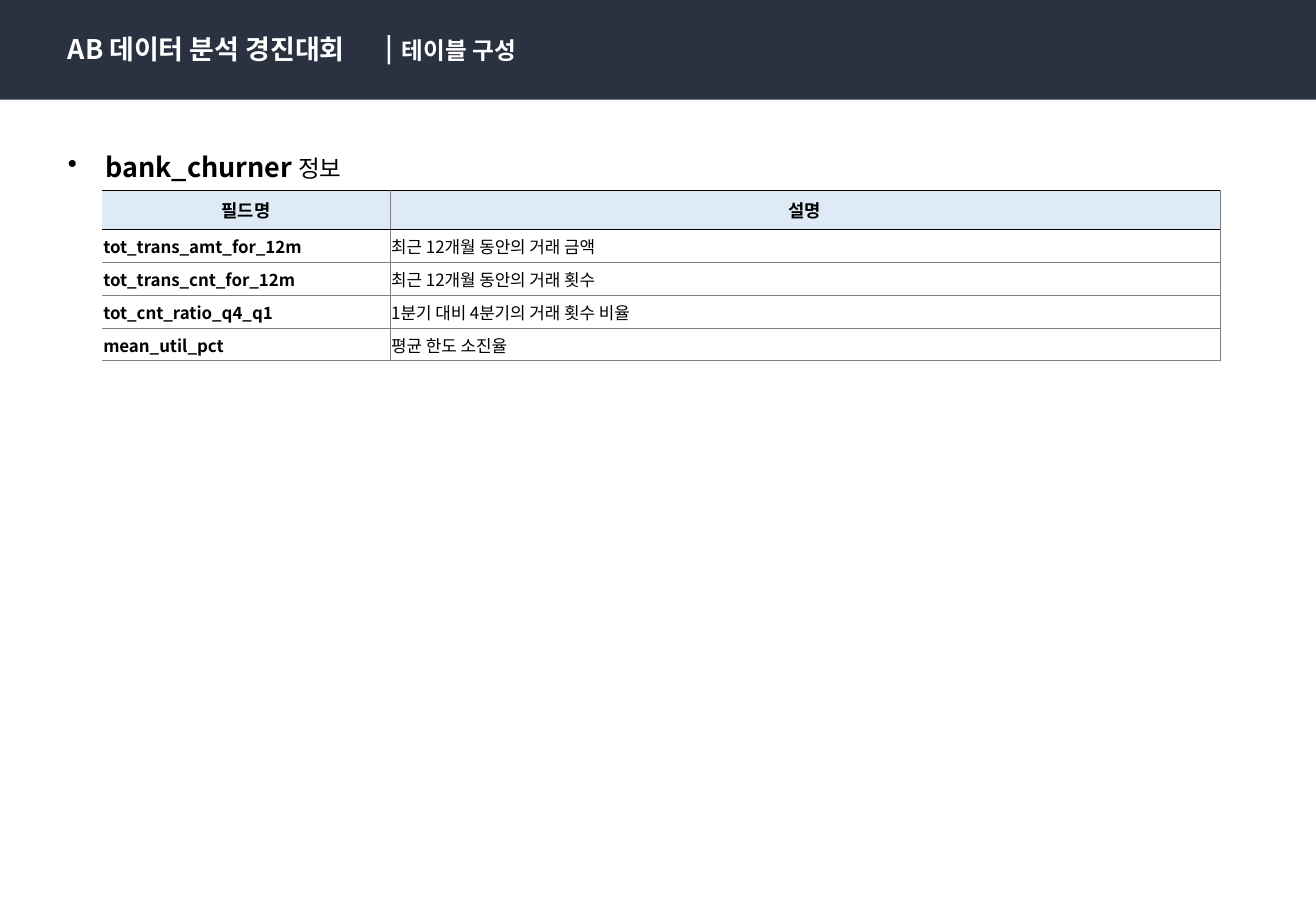
from pptx import Presentation
from pptx.dml.color import RGBColor
from pptx.enum.shapes import MSO_SHAPE
from pptx.enum.text import MSO_ANCHOR, MSO_AUTO_SIZE, PP_ALIGN
from pptx.oxml.ns import qn
from pptx.util import Inches, Pt
from lxml.etree import SubElement

NAVY = RGBColor(0x2A, 0x31, 0x40)
WHITE = RGBColor(0xFF, 0xFF, 0xFF)
BLACK = RGBColor(0, 0, 0)
GRAY = RGBColor(0x80, 0x80, 0x80)
PALE_BLUE = RGBColor(0xDE, 0xEB, 0xF7)

BODY_FONT = "Noto Sans CJK KR"
LABEL_FONT = "Calibri"

FIELDS = [
    ("필드명", "설명"),
    ("tot_trans_amt_for_12m", "최근 12개월 동안의 거래 금액"),
    ("tot_trans_cnt_for_12m", "최근 12개월 동안의 거래 횟수"),
    ("tot_cnt_ratio_q4_q1", "1분기 대비 4분기의 거래 횟수 비율"),
    ("mean_util_pct", "평균 한도 소진율"),
]


class SlideBuilder:
    """Holds the current slide and draws each kind of element on it."""

    def __init__(self, page):
        self.page = page

    def style(self, font, size, color, bold=True, name=BODY_FONT):
        font.name, font.size, font.bold = name, Pt(size), bold
        font.color.rgb = color

    def bar(self, left, top, width, height, color):
        shape = self.page.shapes.add_shape(
            MSO_SHAPE.RECTANGLE, *map(Inches, (left, top, width, height)))
        shape.shadow.inherit = False
        shape.fill.solid()
        shape.fill.fore_color.rgb = color
        shape.line.fill.background()

    def text(self, left, top, width, height, words, size, color,
             anchor=MSO_ANCHOR.MIDDLE):
        box = self.page.shapes.add_textbox(
            *map(Inches, (left, top, width, height)))
        frame = box.text_frame
        frame.word_wrap = True
        frame.auto_size = MSO_AUTO_SIZE.SHAPE_TO_FIT_TEXT
        frame.vertical_anchor = anchor
        para = frame.paragraphs[0]
        para.add_run().text = words
        self.style(para.font, size, color)
        return para

    def bullet(self, para, indent):
        properties = para._p.get_or_add_pPr()
        properties.set("marL", str(Inches(indent)))
        properties.set("indent", str(-Inches(indent)))
        mark = properties.makeelement(qn("a:buChar"), {"char": "•"})
        properties.find(qn("a:defRPr")).addprevious(mark)

    def border(self, cell, side, color, width):
        line = SubElement(cell._tc.get_or_add_tcPr(), qn(f"a:ln{side}"),
                          w=str(Pt(width)))
        if color is None:
            SubElement(line, qn("a:noFill"))
        else:
            fill = SubElement(line, qn("a:solidFill"))
            SubElement(fill, qn("a:srgbClr"), val=str(color))

    def cell(self, cell, words, row, column):
        header = row == 0
        thin, thick = (GRAY, 0.25), (BLACK, 1)
        self.border(cell, "L", *(thin if column else (None, 0)))
        self.border(cell, "R", *thin)
        self.border(cell, "T", *(thick if row < 2 else thin))
        self.border(cell, "B", *(thick if header else thin))
        cell.vertical_anchor = MSO_ANCHOR.MIDDLE
        para = cell.text_frame.paragraphs[0]
        para.add_run().text = words
        if header:
            cell.fill.solid()
            cell.fill.fore_color.rgb = PALE_BLUE
            para.alignment = PP_ALIGN.CENTER
            self.style(para.font, 10.5, BLACK, name=LABEL_FONT)
        else:
            cell.fill.background()
            cell.margin_left = cell.margin_right = Inches(0.01)
            cell.margin_top, cell.margin_bottom = Inches(0.01), 0
            self.style(para.font, 10, BLACK, bold=column == 0)

    def table(self, left, top, widths, heights, rows):
        table = self.page.shapes.add_table(
            len(rows), len(widths), Inches(left), Inches(top),
            Inches(sum(widths)), Inches(sum(heights))).table
        table.first_row = table.horz_banding = False
        for column, width in zip(table.columns, widths):
            column.width = Inches(width)
        for row, height in zip(table.rows, heights):
            row.height = Inches(height)
        for r, row in enumerate(rows):
            for c, words in enumerate(row):
                self.cell(table.cell(r, c), words, r, c)


deck = Presentation()
deck.slide_width, deck.slide_height = Inches(10.83), Inches(7.5)
slide = SlideBuilder(deck.slides.add_slide(deck.slide_layouts[6]))

# Field table
slide.table(0.84, 1.57, [2.37, 6.83], [0.32] + [0.27] * 4, FIELDS)

# Header band with title, divider and section name
slide.bar(0, 0, 10.83, 0.82, NAVY)
slide.text(0.46, 0.22, 4.23, 0.37, "AB 데이터 분석 경진대회", 16, WHITE,
           MSO_ANCHOR.TOP)
slide.text(3.21, 0.24, 3.53, 0.34, "테이블 구성", 14, WHITE)
slide.bar(3.19, 0.29, 0.02, 0.24, WHITE)

# Table heading
heading = slide.text(0.46, 1.08, 8, 0.46, "bank_churner ", 16, BLACK)
heading.line_spacing = 1.5
slide.bullet(heading, 0.31)
span = heading.add_run()
span.text = "정보"
slide.style(span.font, 14, BLACK, bold=False, name=LABEL_FONT)

deck.save("out.pptx")
